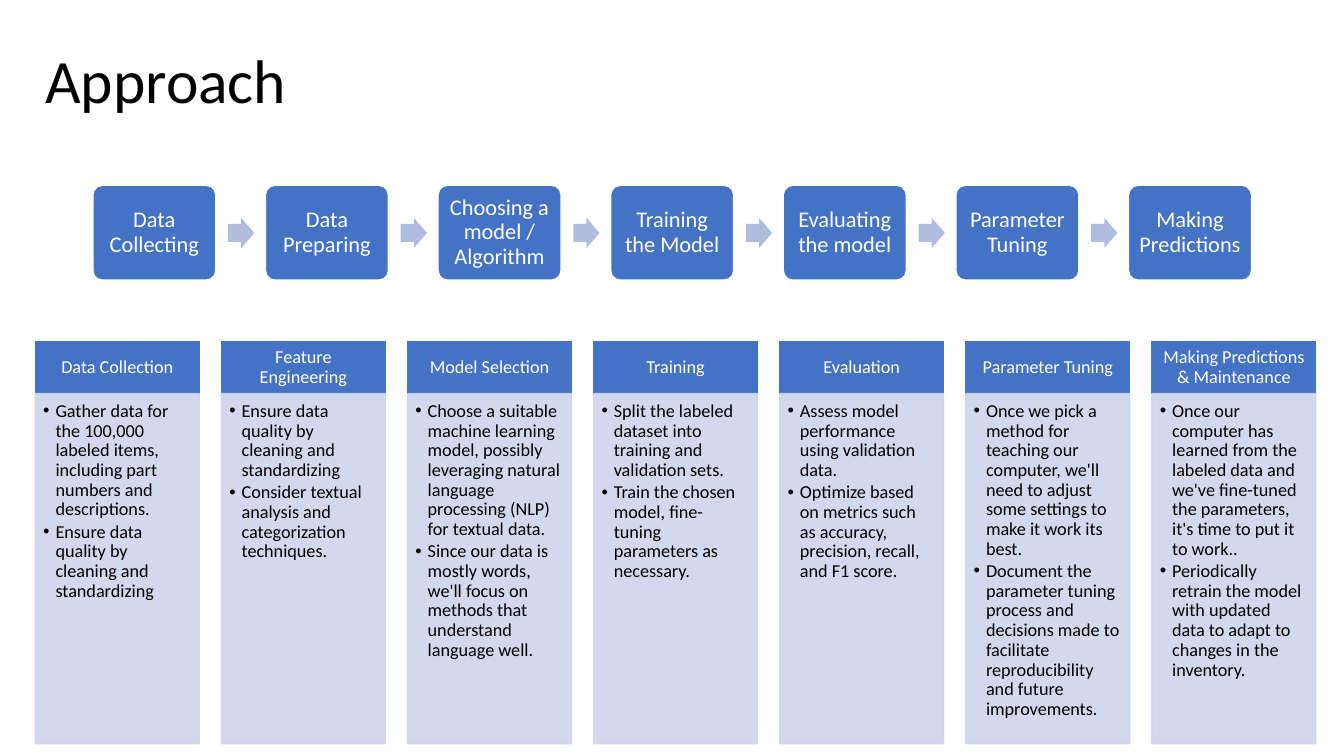
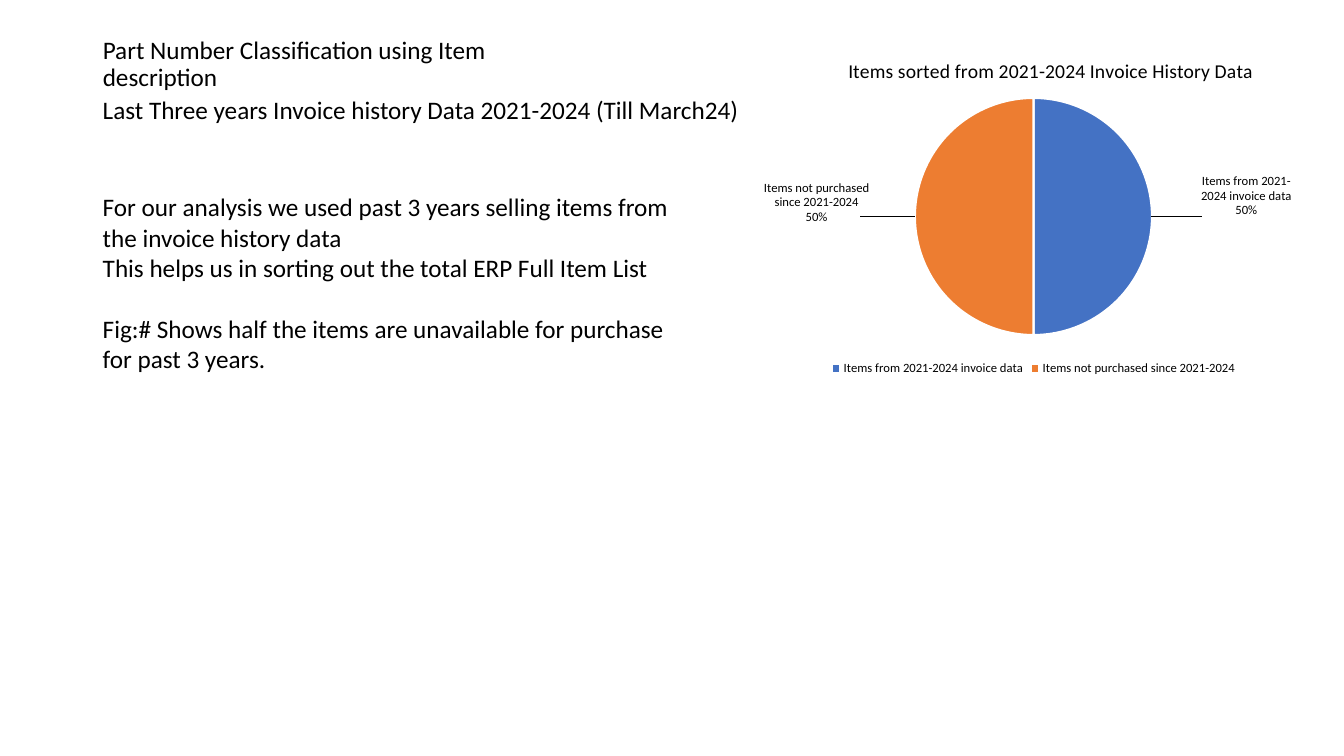
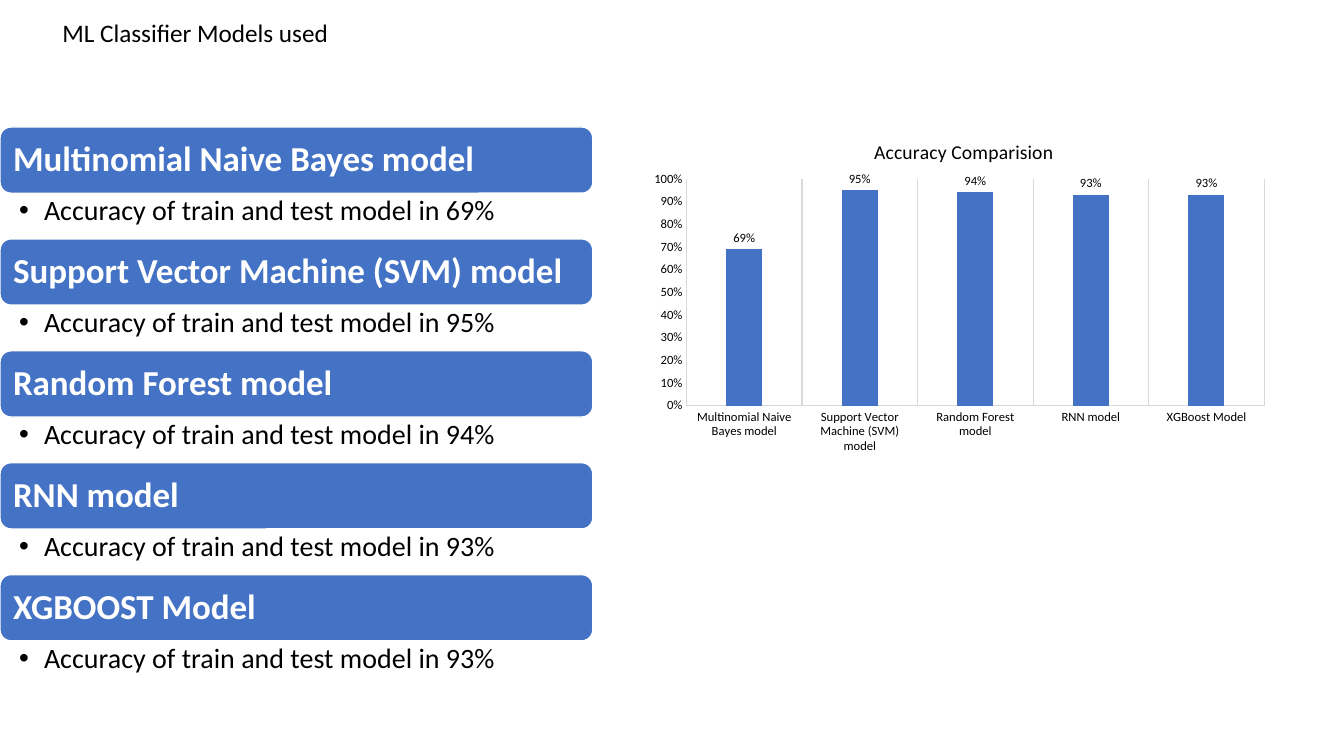
from lxml.etree import SubElement
from pptx import Presentation
from pptx.chart.data import CategoryChartData
from pptx.dml.color import RGBColor
from pptx.enum.chart import XL_CHART_TYPE, XL_LABEL_POSITION, XL_LEGEND_POSITION, XL_TICK_MARK
from pptx.enum.shapes import MSO_SHAPE
from pptx.enum.text import MSO_ANCHOR, MSO_AUTO_SIZE, PP_ALIGN
from pptx.oxml import parse_xml
from pptx.oxml.ns import nsdecls, qn
from pptx.util import Cm, Pt

FONT = "Calibri"
BLUE, ORANGE, ARROW, PANEL = "4472C4", "ED7D31", "B0BCDE", "CFD5EA"
BLACK, WHITE, GRID = "000000", "FFFFFF", "D9D9D9"

STEPS = ["Data Collecting", "Data Preparing", "Choosing a model / Algorithm",
         "Training the Model", "Evaluating the model", "Parameter Tuning",
         "Making Predictions"]

STAGES = [
    ("Data Collection",
     ["Gather data for the 100,000 labeled items, including part numbers and descriptions.",
      "Ensure data quality by cleaning and standardizing"]),
    ("Feature Engineering",
     ["Ensure data quality by cleaning and standardizing",
      "Consider textual analysis and categorization techniques."]),
    ("Model Selection",
     ["Choose a suitable machine learning model, possibly leveraging natural language "
      "processing (NLP) for textual data.",
      "Since our data is mostly words, we'll focus on methods that understand language well."]),
    ("Training",
     ["Split the labeled dataset into training and validation sets.",
      "Train the chosen model, fine-tuning parameters as necessary."]),
    ("Evaluation",
     ["Assess model performance using validation data.",
      "Optimize based on metrics such as accuracy, precision, recall, and F1 score."]),
    ("Parameter Tuning",
     ["Once we pick a method for teaching our computer, we'll need to adjust some settings "
      "to make it work its best.",
      "Document the parameter tuning process and decisions made to facilitate "
      "reproducibility and future improvements."]),
    ("Making Predictions & Maintenance",
     ["Once our computer has learned from the labeled data and we've fine-tuned the "
      "parameters, it's time to put it to work..",
      "Periodically retrain the model with updated data to adapt to changes in the "
      "inventory."]),
]

MODELS = [("Multinomial Naive Bayes model", 0.69),
          ("Support Vector Machine (SVM) model", 0.95),
          ("Random Forest model", 0.94),
          ("RNN model", 0.93),
          ("XGBoost Model", 0.93)]


def rgb(value):
    """Return the colour for a hex string."""
    return RGBColor.from_string(value)


def set_font(font, size, color=BLACK, bold=False):
    """Format a font of a run or of a chart part."""
    font.name, font.size, font.bold = FONT, Pt(size), bold
    font.color.rgb = rgb(color)


def write(sp, text, size=18, color=BLACK, bold=False, align=PP_ALIGN.LEFT,
          anchor=MSO_ANCHOR.TOP, insets=(0.25, 0.13, 0.25, 0.13), spacing=1.0,
          after=0, bullet=None):
    """Fill a shape with one paragraph per string and return its text frame."""
    tf = sp.text_frame
    tf.word_wrap, tf.auto_size, tf.vertical_anchor = True, MSO_AUTO_SIZE.NONE, anchor
    tf.margin_left, tf.margin_top, tf.margin_right, tf.margin_bottom = map(Cm, insets)
    for i, line in enumerate([text] if isinstance(text, str) else text):
        p = tf.add_paragraph() if i else tf.paragraphs[0]
        p.alignment, p.line_spacing, p.space_after = align, spacing, Pt(after)
        r = p.add_run()
        r.text = line
        set_font(r.font, size, color, bold)
        if bullet:
            pPr = p._p.get_or_add_pPr()
            pPr.set("marL", str(Cm(bullet)))
            pPr.set("indent", str(-Cm(bullet)))
            SubElement(pPr, qn("a:buFont")).set("typeface", "Arial")
            SubElement(pPr, qn("a:buChar")).set("char", "•")
    return tf


def add_box(slide, kind, x, y, w, h, fill, line=None, alpha=None):
    """Add a filled preset shape."""
    sp = slide.shapes.add_shape(kind, Cm(x), Cm(y), Cm(w), Cm(h))
    sp.shadow.inherit = False
    sp.fill.solid()
    sp.fill.fore_color.rgb = rgb(fill)
    if line:
        sp.line.color.rgb = rgb(line)
        sp.line.width = Pt(1)
    else:
        sp.line.fill.background()
    if alpha:
        for clr in sp._element.spPr.iter(qn("a:srgbClr")):
            SubElement(clr, qn("a:alpha")).set("val", str(alpha * 1000))
    return sp


def add_text(slide, text, x, y, w, h, **fmt):
    """Add a text box and return its text frame."""
    return write(slide.shapes.add_textbox(Cm(x), Cm(y), Cm(w), Cm(h)), text, **fmt)


def add_slide(prs, title, x, y, w, h, size=18):
    """Add a title-only slide with its title placed."""
    slide = prs.slides.add_slide(prs.slide_layouts[5])
    sp = slide.shapes.title
    sp.left, sp.top, sp.width, sp.height = Cm(x), Cm(y), Cm(w), Cm(h)
    write(sp, title, size=size, anchor=MSO_ANCHOR.MIDDLE, spacing=0.9)
    return slide


def set_layout(parent, index, **parts):
    """Give a chart part a manual layout."""
    for old in parent.findall(qn("c:layout")):
        parent.remove(old)
    body = "".join(f'<c:{name} val="{value}"/>' for name, value in parts.items())
    parent.insert(index, parse_xml(
        f'<c:layout {nsdecls("c")}><c:manualLayout>{body}</c:manualLayout></c:layout>'))


def add_chart(slide, kind, cats, vals, box, title, title_at, plot_at):
    """Add a one-series chart with a title and return it."""
    data = CategoryChartData()
    data.categories = cats
    data.add_series("Series 1", vals)
    chart = slide.shapes.add_chart(kind, *map(Cm, box), data).chart
    set_font(chart.font, 9)
    chart.has_legend = False
    chart.has_title = True
    p = chart.chart_title.text_frame.paragraphs[0]
    r = p.add_run()
    r.text = title
    set_font(r.font, 14)
    edge = {"xMode": "edge", "yMode": "edge"}
    set_layout(chart.chart_title._element, 1, **edge, **dict(zip("xy", title_at)))
    plot_area = chart._chartSpace.xpath("c:chart/c:plotArea")[0]
    set_layout(plot_area, 0, layoutTarget="inner", **edge, **dict(zip("xywh", plot_at)))
    return chart


def add_share_pie(slide):
    """Add the pie of sold and unsold items."""
    chart = add_chart(
        slide, XL_CHART_TYPE.PIE,
        ["Items from 2021-2024 invoice data", "Items not purchased since 2021-2024"],
        [50, 50], (19.25, 0.91, 13.59, 8.66),
        "Items sorted from 2021-2024 Invoice History Data", (0.15, 0.05),
        (0.28, 0.18, 0.44, 0.69))
    chart.has_legend = True
    chart.legend.position = XL_LEGEND_POSITION.BOTTOM
    chart.legend.include_in_layout = False
    set_font(chart.legend.font, 9)
    series = chart.plots[0].series[0]
    labels = series.data_labels
    labels.show_value, labels.show_category_name, labels.show_percentage = False, True, True
    labels.position = XL_LABEL_POSITION.OUTSIDE_END
    set_font(labels.font, 9)
    for i, color in enumerate([BLUE, ORANGE]):
        point = series.points[i]
        point.format.fill.solid()
        point.format.fill.fore_color.rgb = rgb(color)
        point.format.line.color.rgb = rgb(WHITE)
        point.format.line.width = Pt(1.5)
        set_font(point.data_label.font, 9)
        point.data_label.position = XL_LABEL_POSITION.OUTSIDE_END
    shown = {"showVal": "0", "showCatName": "1", "showPercent": "1"}
    for label, (dx, dy) in zip(chart._chartSpace.xpath(".//c:dLbl"),
                               [(0.08, -0.06), (-0.09, -0.04)]):
        set_layout(label, 1, x=dx, y=dy)
        for name, value in shown.items():
            label.find(qn(f"c:{name}")).set("val", value)
        SubElement(label, qn("c:separator")).text = "\n"


def add_accuracy_columns(slide):
    """Add the column chart of model accuracy."""
    cats, vals = zip(*MODELS)
    chart = add_chart(slide, XL_CHART_TYPE.COLUMN_CLUSTERED, cats, vals,
                      (16.18, 2.95, 16, 8.66), "Accuracy Comparision", (0.36, 0.05),
                      (0.07, 0.18, 0.91, 0.66))
    plot = chart.plots[0]
    plot.vary_by_categories = False
    plot.gap_width, plot.overlap = 219, -27
    series = plot.series[0]
    series.format.fill.solid()
    series.format.fill.fore_color.rgb = rgb(BLUE)
    labels = series.data_labels
    labels.show_value, labels.position = True, XL_LABEL_POSITION.OUTSIDE_END
    labels.number_format, labels.number_format_is_linked = "0%", False
    set_font(labels.font, 9)
    cat, val = chart.category_axis, chart.value_axis
    for axis in (cat, val):
        axis.major_tick_mark = axis.minor_tick_mark = XL_TICK_MARK.NONE
        set_font(axis.tick_labels.font, 9)
    cat.has_major_gridlines, val.has_major_gridlines = True, False
    for line in (cat.format.line, cat.major_gridlines.format.line):
        line.color.rgb = rgb(GRID)
        line.width = Pt(0.75)
    val.format.line.fill.background()
    val.minimum_scale, val.maximum_scale, val.major_unit = 0, 1, 0.1
    val.tick_labels.number_format = "0%"
    val.tick_labels.number_format_is_linked = False


def add_approach(prs):
    """Add the slide with the process and its stages."""
    slide = add_slide(prs, "Approach", 0.89, 1.02, 7.49, 2.16, size=44)
    centred = {"color": WHITE, "align": PP_ALIGN.CENTER, "anchor": MSO_ANCHOR.MIDDLE,
               "spacing": 0.9}
    for i, step in enumerate(STEPS):
        x = 2.34 + i * 4.35
        sp = add_box(slide, MSO_SHAPE.ROUNDED_RECTANGLE, x, 4.67, 3.1, 2.39, BLUE, WHITE)
        sp.adjustments[0] = 0.1
        write(sp, step, size=16, insets=[0.17] * 4, **centred)
        if i < len(STEPS) - 1:
            sp = add_box(slide, MSO_SHAPE.RIGHT_ARROW, x + 3.41, 5.49, 0.66, 0.76, ARROW)
            sp.adjustments[0] = 0.6
    for i, (head, points) in enumerate(STAGES):
        x = 0.89 + i * 4.69
        sp = add_box(slide, MSO_SHAPE.RECTANGLE, x, 8.61, 4.13, 1.31, BLUE, BLUE)
        write(sp, head, size=13, insets=(0.25, 0.15, 0.25, 0.15), **centred)
        sp = add_box(slide, MSO_SHAPE.RECTANGLE, x, 9.92, 4.13, 8.82, PANEL, PANEL, alpha=90)
        write(sp, points, size=13, insets=(0.2, 0.2, 0.25, 0.28), spacing=0.9,
              after=2, bullet=0.31)


def add_invoice_history(prs):
    """Add the slide on the invoice history."""
    slide = add_slide(prs, "Part Number Classification using Item description",
                      2.34, 1.02, 13.13, 1.22)
    add_text(slide, "Last Three years Invoice history Data 2021-2024 (Till March24)",
             2.34, 2.24, 16.94, 1.02)
    tf = add_text(slide, [
        "For our analysis we used past 3 years selling items from the invoice history data",
        "This helps us in sorting out the total ERP Full Item List",
        "Fig:# Shows half the items are unavailable for purchase for past 3 years."],
        2.34, 4.7, 14.91, 4.88)
    tf.paragraphs[-1].space_before = Pt(22)
    add_share_pie(slide)


def add_models(prs):
    """Add the slide on the classifier models."""
    slide = add_slide(prs, "ML Classifier Models used", 1.32, 0.36, 30.33, 1.02)
    for i, (model, accuracy) in enumerate(MODELS):
        y = 3.2 + i * 2.82
        sp = add_box(slide, MSO_SHAPE.ROUNDED_RECTANGLE, 0, y, 14.94, 1.67, BLUE, WHITE)
        write(sp, model.replace("XGBoost", "XGBOOST"), size=25, color=WHITE, bold=True,
              anchor=MSO_ANCHOR.MIDDLE, insets=[0.25] * 4, spacing=0.9)
        add_text(slide, f"Accuracy of train and test model in {accuracy:.0%}",
                 0, y + 1.67, 14.94, 1.15, size=20, insets=(0.48, 0.08, 0.48, 0.08),
                 spacing=0.9, bullet=0.63)
    add_accuracy_columns(slide)


def main():
    """Build and save the presentation."""
    prs = Presentation()
    prs.slide_width, prs.slide_height = Cm(33.87), Cm(19.05)
    add_approach(prs)
    add_invoice_history(prs)
    add_models(prs)
    prs.save("out.pptx")


main()
